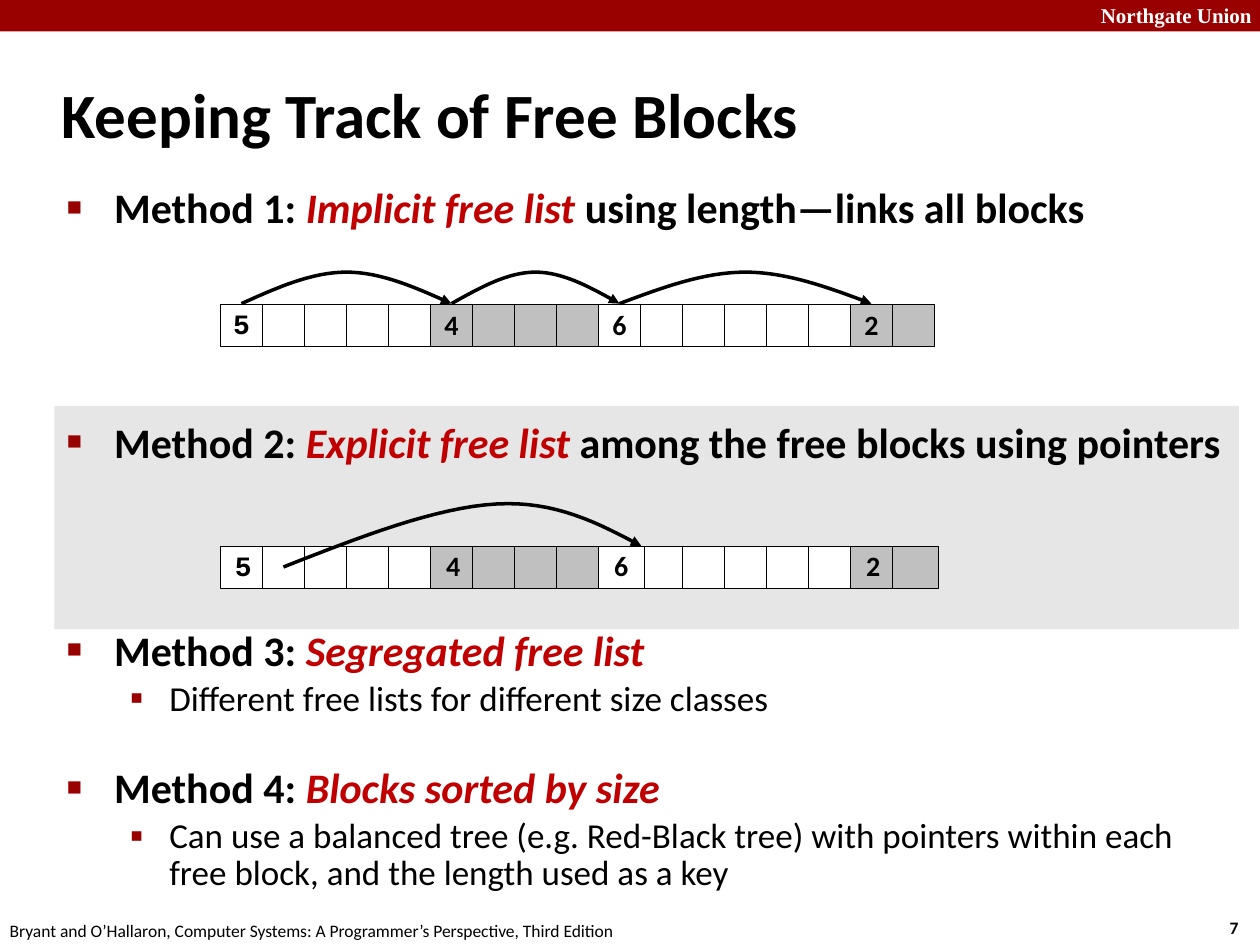
from lxml import etree
from pptx import Presentation
from pptx import util as u
from pptx.dml.color import RGBColor
from pptx.enum import shapes, text
from pptx.oxml import ns

BLACK, WHITE, RED, ACCENT = "000000", "FFFFFF", "990000", "C00000"
ALLOCATED, FREE, BAND = "FFFFFF", "C0C0C0", "E6E6E6"
CELL = 24
ROW_LEFT = 126
BLOCKS = [(5, ALLOCATED), (4, FREE), (6, ALLOCATED), (2, FREE)]

BULLETS = [
    dict(char="■", percent=60, margin=27, indent=-27),
    dict(char="▪", percent=110, margin=58.5, indent=-22.5),
]
HEADING = dict(size=u.Pt(24), bold=True)
DETAIL = dict(size=u.Pt(20), bold=False)

# level, space before, line spacing, plain start, emphasis, plain end
METHODS = [
    (0, 0, 1, "Method 1: ", "Implicit free list ", "using length—links all blocks"),
    (0, 105, 1, "Method 2: ", "Explicit free list ", "among the free blocks using pointers"),
    (0, 95, 0.83, "Method 3: ", "Segregated free list", ""),
    (1, 4, 0.88, "Different free lists for different size classes", "", ""),
    (0, 29.5, 0.83, "Method 4: ", "Blocks sorted by size", ""),
    (1, 4, 0.88, "Can use a balanced tree (e.g. Red-Black tree) with pointers within each "
                 "free block, and the length used as a key", "", ""),
]


def colour(value):
    return RGBColor.from_string(value)


def set_values(target, values):
    for name, value in values.items():
        setattr(target, name, value)


def add_element(parent, tag, **attributes):
    return etree.SubElement(parent, ns.qn(tag), attributes)


def bezier(start, control1, control2, end, steps=16):
    """Points after start along a cubic curve."""
    for step in range(1, steps + 1):
        t = step / steps
        weights = ((1 - t) ** 3, 3 * t * (1 - t) ** 2, 3 * t * t * (1 - t), t ** 3)
        yield tuple(sum(w * point[axis] for w, point in zip(weights, (start, control1, control2, end)))
                    for axis in (0, 1))


class SlideBuilder:
    def __init__(self, slide, font="Calibri"):
        self.slide = slide
        self.font = font

    def run(self, paragraph, words, hue=BLACK, **values):
        run = paragraph.add_run()
        run.text = words
        set_values(run.font, {"name": self.font, **values})
        run.font.color.rgb = colour(hue)

    def place(self, placeholder, left, top, width, height):
        """Move a placeholder and bring it to the front."""
        set_values(placeholder, dict(left=u.Pt(left), top=u.Pt(top),
                                     width=u.Pt(width), height=u.Pt(height)))
        placeholder.element.getparent().append(placeholder.element)
        placeholder.text_frame.auto_size = text.MSO_AUTO_SIZE.NONE
        return placeholder.text_frame

    def title(self, words, *box):
        frame = self.place(self.slide.shapes.title, *box)
        frame.vertical_anchor = text.MSO_ANCHOR.MIDDLE
        paragraph = frame.paragraphs[0]
        paragraph.alignment = text.PP_ALIGN.LEFT
        self.run(paragraph, words, size=u.Pt(36), bold=True)

    def bullets(self, items, *box):
        frame = self.place(self.slide.placeholders[1], *box)
        set_values(frame, dict(margin_top=u.Pt(5.4), vertical_anchor=text.MSO_ANCHOR.TOP))
        for index, (level, before, spacing, start, emphasis, end) in enumerate(items):
            paragraph = frame.add_paragraph() if index else frame.paragraphs[0]
            set_values(paragraph, dict(level=level, space_before=u.Pt(before),
                                       line_spacing=spacing, alignment=text.PP_ALIGN.LEFT))
            self.bullet(paragraph, **BULLETS[level])
            style = DETAIL if level else HEADING
            for words, hue, italic in ((start, BLACK, False), (emphasis, ACCENT, True), (end, BLACK, False)):
                if words:
                    self.run(paragraph, words, hue, italic=italic, **style)

    def bullet(self, paragraph, char, percent, margin, indent):
        properties = paragraph._p.get_or_add_pPr()
        properties.set("marL", str(u.Pt(margin)))
        properties.set("indent", str(u.Pt(indent)))
        add_element(add_element(properties, "a:buClr"), "a:srgbClr", val=RED)
        add_element(properties, "a:buSzPct", val=str(percent * 1000))
        add_element(properties, "a:buChar", char=char)

    def label(self, words, left, top, width, height, hue=BLACK, wrap=False, **values):
        box = self.slide.shapes.add_textbox(*map(u.Pt, (left, top, width, height)))
        box.text_frame.word_wrap = wrap
        self.run(box.text_frame.paragraphs[0], words, hue, **values)

    def rectangle(self, left, top, width, height, fill, line=None):
        shape = self.slide.shapes.add_shape(shapes.MSO_SHAPE.RECTANGLE,
                                            *map(u.Pt, (left, top, width, height)))
        shape.shadow.inherit = False
        shape.fill.solid()
        shape.fill.fore_color.rgb = colour(fill)
        if line:
            shape.line.color.rgb = colour(BLACK)
            shape.line.width = u.Pt(line)
        else:
            shape.line.fill.background()
        return shape

    def cell(self, left, top, width, fill, number=None):
        shape = self.rectangle(left, top, width, CELL, fill, line=0.25)
        if number is None:
            return
        set_values(shape.text_frame, dict(word_wrap=False, vertical_anchor=text.MSO_ANCHOR.MIDDLE))
        first = number == BLOCKS[0][0]
        paragraph = shape.text_frame.paragraphs[0]
        set_values(paragraph, dict(alignment=text.PP_ALIGN.CENTER,
                                   line_spacing=0.94 if first else 0.98))
        self.run(paragraph, str(number), size=u.Pt(16), bold=True,
                 name="Courier New" if first else self.font)

    def memory_row(self, top, cell_width):
        """Blocks side by side, the header cell of the third one in front."""
        cells = [(fill, None if offset else length)
                 for length, fill in BLOCKS for offset in range(length)]
        placed = [(ROW_LEFT + CELL * index, top, cell_width, *cell) for index, cell in enumerate(cells)]
        for cell in sorted(placed, key=lambda cell: cell[-1] == BLOCKS[2][0]):
            self.cell(*cell)

    def curve(self, points):
        """Arrow along two joined cubic curves given by seven points."""
        path = [*bezier(*points[:4]), *bezier(*points[3:])]
        builder = self.slide.shapes.build_freeform(*map(u.Pt, points[0]))
        builder.add_line_segments([(u.Pt(x), u.Pt(y)) for x, y in path], close=False)
        shape = builder.convert_to_shape()
        shape.shadow.inherit = False
        shape.fill.background()
        shape.line.color.rgb = colour(BLACK)
        shape.line.width = u.Pt(2)
        add_element(shape.line._get_or_add_ln(), "a:tailEnd", type="triangle")

    def arc(self, left, right, base, peak):
        middle = (base + peak) / 2
        heights = (base, middle, peak, peak, peak, middle, base)
        self.curve([(left + (right - left) * step / 6, y) for step, y in enumerate(heights)])


def main():
    presentation = Presentation()
    presentation.slide_width, presentation.slide_height = u.Pt(720), u.Pt(540)
    builder = SlideBuilder(presentation.slides.add_slide(presentation.slide_layouts[1]))

    builder.rectangle(0, 0, 720, 18, RED)
    builder.label("Northgate Union", 622, -2, 103, 22, WHITE, wrap=True,
                  name="Times New Roman", size=u.Pt(12), bold=True)
    builder.label("7", 695.5, 520.5, 27, 19.5, size=u.Pt(10), bold=True)
    builder.label("Bryant and O’Hallaron, Computer Systems: A Programmer’s Perspective, Third Edition",
                  -1.5, 522, 366, 19.5, size=u.Pt(10))

    builder.rectangle(31, 232, 677, 127.5, BAND)
    builder.title("Keeping Track of Free Blocks", 28, 34.5, 598, 60)
    builder.bullets(METHODS, 31, 98.5, 677, 423.5)

    builder.memory_row(174, CELL)
    left = ROW_LEFT + CELL / 2
    for length, _ in BLOCKS[:-1]:
        right = left + CELL * length
        builder.arc(left, right, base=173.5, peak=155.5)
        left = right

    builder.memory_row(312, 26)
    builder.curve([(162, 324), (206, 306.7), (249, 290), (283.5, 288),
                   (317.5, 286), (342, 299), (366.5, 312)])
    presentation.save("out.pptx")


if __name__ == "__main__":
    main()
